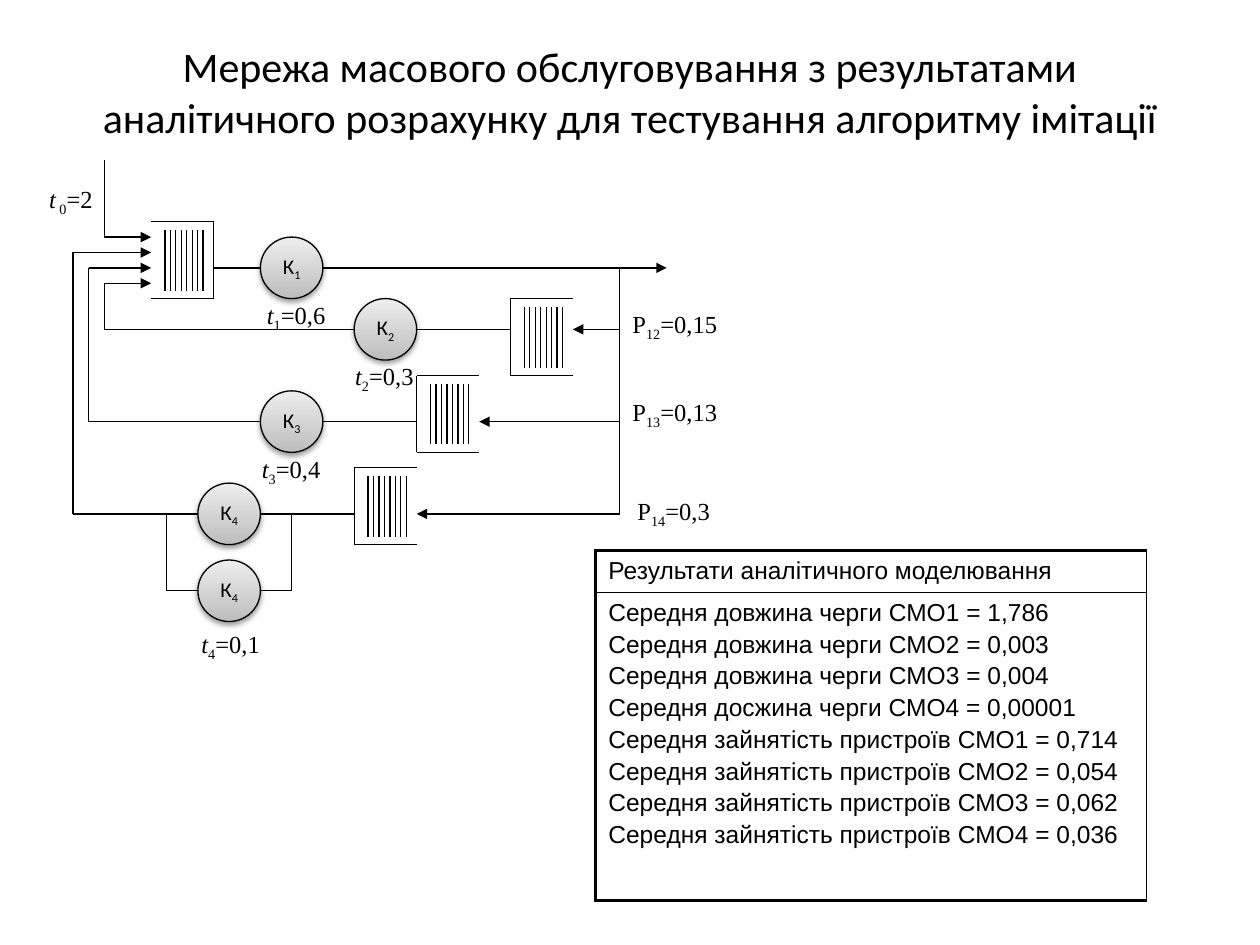
"""Build a slide with a queueing network and its analytical results."""
from lxml import etree
from pptx import Presentation, util as u
from pptx.dml.color import RGBColor
from pptx.enum import shapes, text
from pptx.oxml import ns

Cm, Pt = u.Cm, u.Pt
COLOURS = {"ink": "000000", "light": "EEEEEE", "dark": "BDBDBD"}
TITLE = ("Мережа масового обслуговування з результатами "
         "аналітичного розрахунку для тестування алгоритму імітації")
HEADER = "Результати аналітичного моделювання"
RESULTS = [
    "Середня довжина черги СМО1 = 1,786",
    "Середня довжина черги СМО2 = 0,003",
    "Середня довжина черги СМО3 = 0,004",
    "Середня досжина черги СМО4 = 0,00001",
    "Середня зайнятість пристроїв СМО1 = 0,714",
    "Середня зайнятість пристроїв СМО2 = 0,054",
    "Середня зайнятість пристроїв СМО3 = 0,062",
    "Середня зайнятість пристроїв СМО4 = 0,036",
]
# Grid column and row of start and end
LINES = [
    (2, 0, 2, 5), (9, 7, 12, 7), (16, 7, 35, 7), (35, 7, 35, 23),
    (2, 8, 2, 11), (2, 11, 18, 11), (22, 11, 28, 11),
    (1, 7, 1, 17), (1, 17, 12, 17), (16, 17, 22, 17),
    (0, 6, 0, 23), (0, 23, 8, 23), (12, 23, 18, 23),
    (6, 23, 6, 28), (6, 28, 8, 28), (12, 28, 14, 28), (14, 23, 14, 28),
]
ARROWS = [
    (2, 5, 5, 5), (0, 6, 5, 6), (1, 7, 5, 7), (2, 8, 5, 8),
    (35, 7, 38, 7), (35, 11, 32, 11), (35, 17, 26, 17), (35, 23, 22, 23),
]
QUEUES = [(5, 4, 9), (28, 9, 28), (22, 14, 22), (18, 20, 18)]
SERVERS = [("1", 12, 5), ("2", 18, 9), ("3", 12, 15), ("4", 8, 21), ("4", 8, 26)]
LABELS = [
    ("t", " 0", "=2", 0.74, 3.58), ("t", "1", "=0,6", 5.13, 5.92),
    ("t", "2", "=0,3", 6.91, 7.16), ("t", "3", "=0,4", 5.03, 9.02),
    ("t", "4", "=0,1", 3.81, 12.55), ("P", "12", "=0,15", 12.5, 6.1),
    ("P", "13", "=0,13", 12.5, 7.87), ("P", "14", "=0,3", 12.6, 9.88),
]


def colour(name):
    """Return a named colour."""
    return RGBColor.from_string(COLOURS[name])


def grid(column, row):
    """Return the position in centimetres of a grid point."""
    return 1.47 + 0.63 * column / 2, 3.23 + 0.31 * row


def add_element(parent, tag, **attributes):
    """Append a drawing element and return it."""
    return etree.SubElement(parent, ns.qn(tag), attributes)


def add_run(paragraph, words, size=14, font="Times New Roman", italic=False,
            subscript=False):
    """Add formatted text to a paragraph."""
    run = paragraph.add_run()
    run.text = words
    run.font.size = Pt(size)
    run.font.name = font
    run.font.italic = italic
    run.font.color.rgb = colour("ink")
    if subscript:
        run.font._element.set("baseline", "-25000")


def add_line(slide, start, end, arrow=False):
    """Draw a straight line, optionally with an arrowhead at its end."""
    line = slide.shapes.add_connector(
        shapes.MSO_CONNECTOR.STRAIGHT, *(Cm(value) for value in (*start, *end)))
    line.line.color.rgb = colour("ink")
    line.line.width = Pt(0.75)
    properties = line._element.spPr
    if arrow:
        add_element(properties.find(ns.qn("a:ln")), "a:tailEnd", type="triangle")
    add_element(properties, "a:effectLst")


def add_queue(slide, column, row, wall):
    """Draw a queue open on the side away from its wall."""
    for edge in (row, row + 5):
        add_line(slide, grid(column, edge), grid(column + 4, edge))
    add_line(slide, grid(wall, row), grid(wall, row + 5))
    left, top = grid(column, row)
    for index in range(8):
        x = left + 0.28 + 0.11 * index
        add_line(slide, (x, top + 0.17), (x, top + 1.39))


def add_server(slide, number, column, row):
    """Draw a shaded server circle with its number."""
    left, top = grid(column, row)
    server = slide.shapes.add_shape(
        shapes.MSO_SHAPE.OVAL, Cm(left), Cm(top), Cm(1.26), Cm(1.24))
    server.fill.gradient()
    server.fill.gradient_angle = 90
    for stop, name, position in zip(server.fill.gradient_stops, ("dark", "light"), (0, 1)):
        stop.color.rgb = colour(name)
        stop.position = position
    server.line.color.rgb = colour("ink")
    server.line.width = Pt(0.75)
    server.shadow.inherit = False
    effects = server._element.spPr.find(ns.qn("a:effectLst"))
    shadow = add_element(effects, "a:outerShdw", blurRad=str(Pt(3.1)),
                         dist=str(Pt(1.6)), dir="5400000", rotWithShape="0")
    shade = add_element(shadow, "a:srgbClr", val=COLOURS["ink"])
    add_element(shade, "a:alpha", val="38000")
    frame = server.text_frame
    frame.word_wrap = False
    frame.vertical_anchor = text.MSO_ANCHOR.MIDDLE
    paragraph = frame.paragraphs[0]
    paragraph.alignment = text.PP_ALIGN.CENTER
    add_run(paragraph, "К", size=12, font="Calibri")
    add_run(paragraph, number, size=12, font="Calibri", subscript=True)


def add_label(slide, symbol, index, value, left, top):
    """Write a symbol with its index and value."""
    label = slide.shapes.add_textbox(Cm(left), Cm(top), Cm(2.6), Cm(1))
    label.text_frame.word_wrap = True
    paragraph = label.text_frame.paragraphs[0]
    add_run(paragraph, symbol, italic=symbol == "t")
    add_run(paragraph, index, subscript=True)
    add_run(paragraph, value)


def fill_cell(cell, lines, borders):
    """Write the lines of a cell and draw its left, right, top and bottom borders."""
    cell.fill.background()
    properties = cell._tc.get_or_add_tcPr()
    for index, (side, width) in enumerate(zip("LRTB", borders)):
        border = etree.Element(ns.qn(f"a:ln{side}"), w=str(Pt(width)))
        fill = add_element(border, "a:solidFill")
        add_element(fill, "a:srgbClr", val=COLOURS["ink"])
        properties.insert(index, border)
    frame = cell.text_frame
    for index, line in enumerate(lines):
        paragraph = frame.add_paragraph() if index else frame.paragraphs[0]
        paragraph.space_before = Pt(2.4)
        add_run(paragraph, line, font="Arial")


def add_results(slide):
    """Add the table of analytical results."""
    table = slide.shapes.add_table(
        2, 1, Cm(12.01), Cm(11.1), Cm(11.1), Cm(7.02)).table
    table.first_row = table.horz_banding = False
    table.rows[0].height, table.rows[1].height = Cm(0.82), Cm(6.2)
    fill_cell(table.cell(0, 0), [HEADER], (2.25, 1, 2.25, 1))
    fill_cell(table.cell(1, 0), RESULTS, (2.25, 1, 1, 2.25))


def add_title(slide):
    """Place and format the title."""
    title = slide.shapes.title
    title.left, title.top, title.width, title.height = map(Cm, (1.27, 0.76, 22.86, 2.16))
    title.text_frame.vertical_anchor = text.MSO_ANCHOR.MIDDLE
    paragraph = title.text_frame.paragraphs[0]
    paragraph.alignment = text.PP_ALIGN.CENTER
    add_run(paragraph, TITLE, size=24, font="Calibri")


def main():
    """Build and save the presentation."""
    presentation = Presentation()
    presentation.slide_width, presentation.slide_height = Cm(25.4), Cm(19.05)
    slide = presentation.slides.add_slide(presentation.slide_layouts[5])
    add_title(slide)
    for routes, arrow in ((LINES, False), (ARROWS, True)):
        for x1, y1, x2, y2 in routes:
            add_line(slide, grid(x1, y1), grid(x2, y2), arrow)
    for queue in QUEUES:
        add_queue(slide, *queue)
    for server in SERVERS:
        add_server(slide, *server)
    for label in LABELS:
        add_label(slide, *label)
    add_results(slide)
    presentation.save("out.pptx")


if __name__ == "__main__":
    main()
